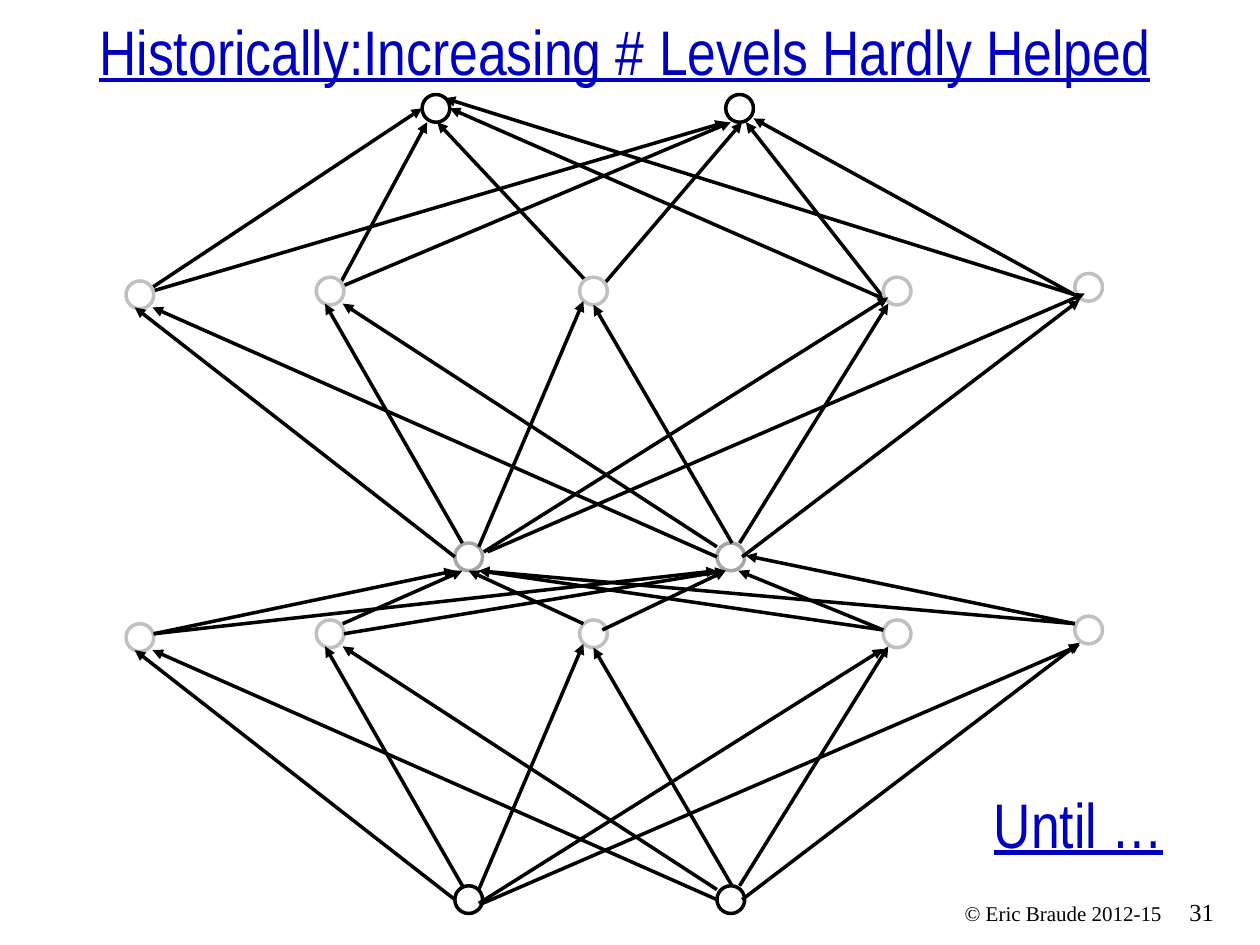
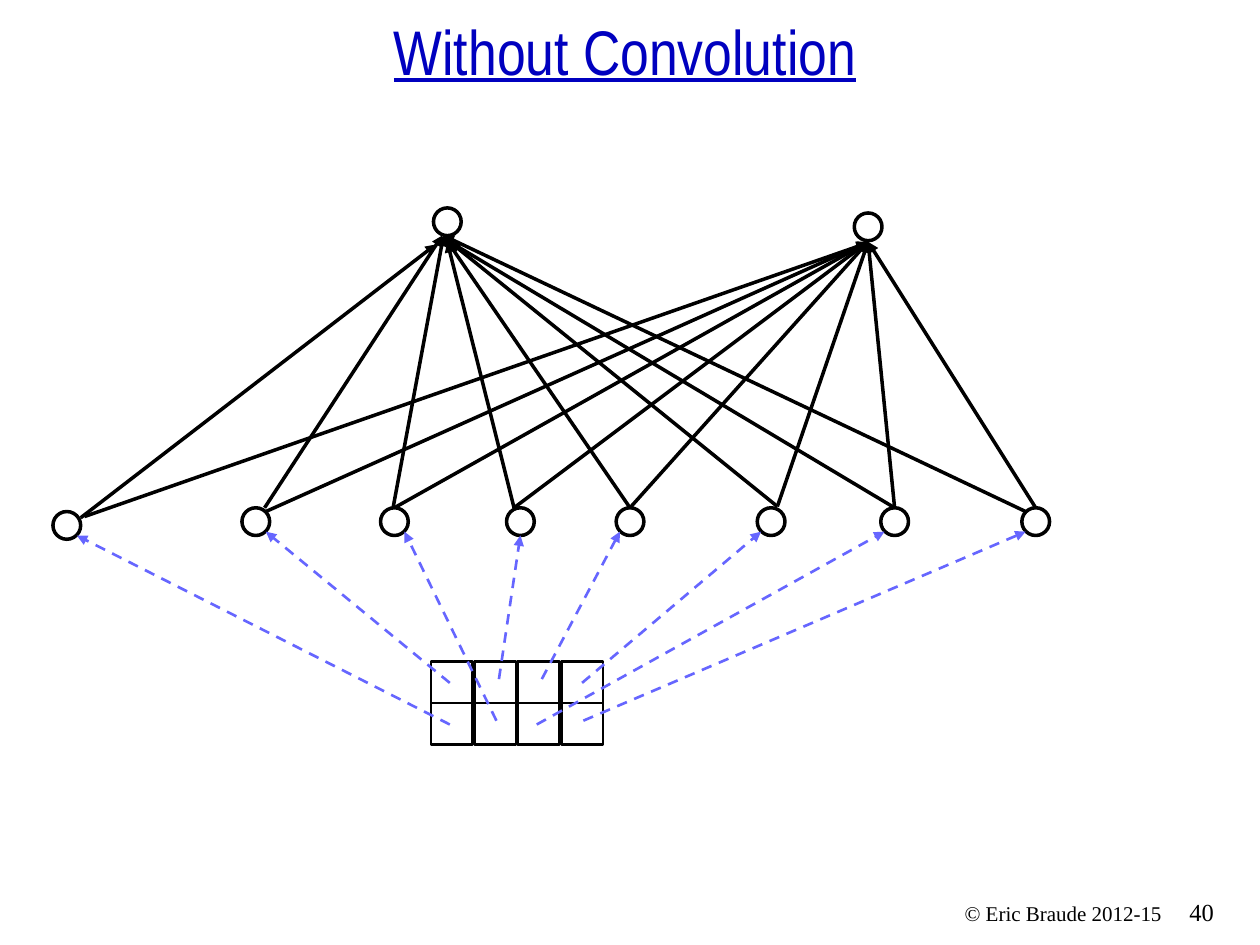
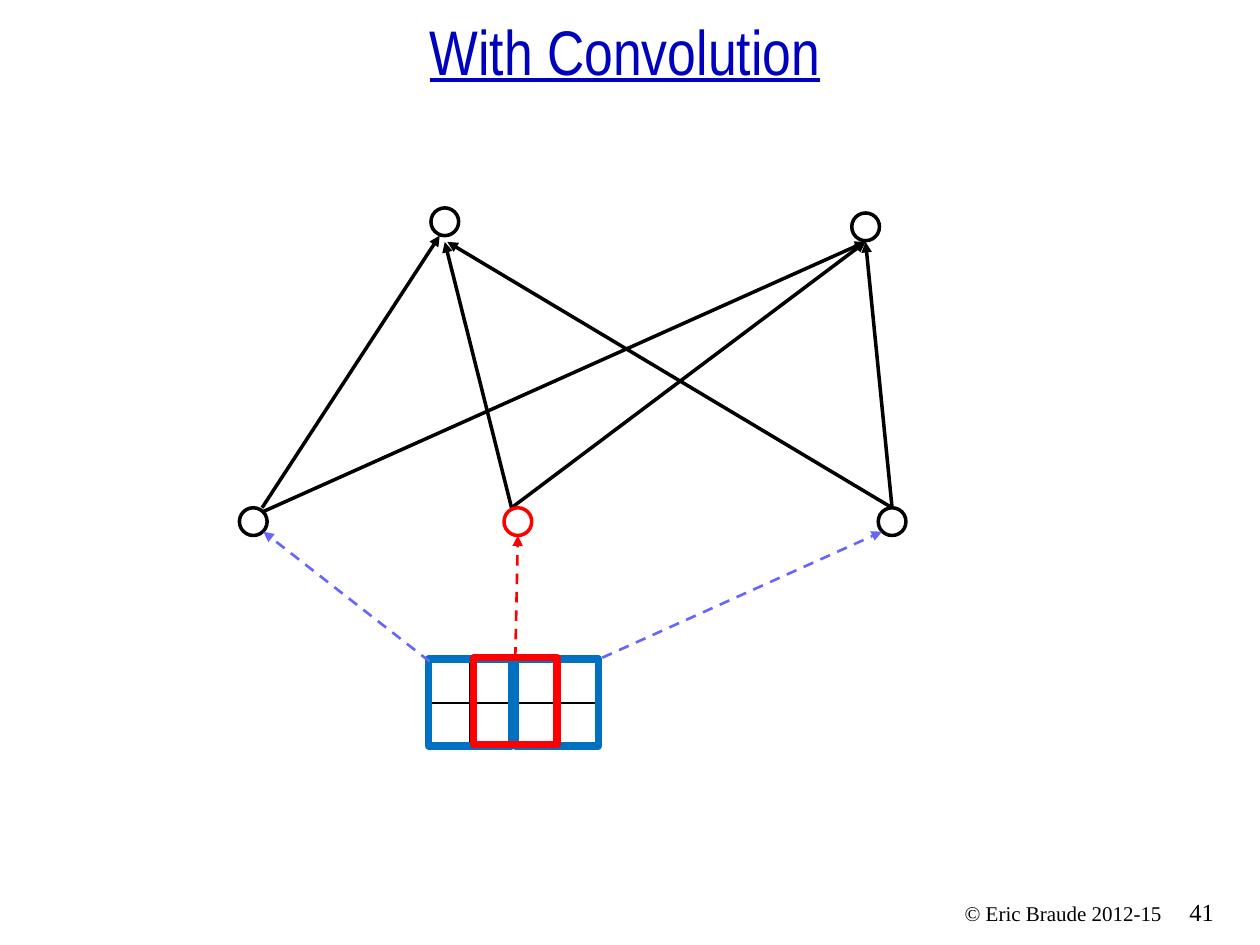
from dataclasses import dataclass
from itertools import product
from typing import NamedTuple

from lxml.etree import SubElement
from pptx import Presentation
from pptx.dml.color import RGBColor
from pptx.enum.dml import MSO_LINE
from pptx.enum.shapes import MSO_CONNECTOR, MSO_SHAPE
from pptx.enum.text import MSO_ANCHOR as Anchor, MSO_AUTO_SIZE as AutoSize, PP_ALIGN as Align
from pptx.oxml.ns import qn
from pptx.util import Inches, Pt


@dataclass(frozen=True)
class Theme:
    black: str = "000000"
    white: str = "FFFFFF"
    title: str = "0000BF"
    light_gray: str = "C0C0C0"
    gray: str = "A6A6A6"
    violet: str = "6666FF"
    blue: str = "0070C0"
    red: str = "FF0000"
    title_font: str = "Arial Narrow"
    footer_font: str = "Times New Roman"
    title_size: float = 36
    number_size: float = 14
    footer_size: float = 12
    link_width: float = 2
    thin_width: float = 1.5
    window_width: float = 4.25


THEME = Theme()
WIDTH, HEIGHT = Inches(10), Inches(7.5)
COLUMNS = 100
CELL = WIDTH / COLUMNS  # side of one square grid cell; all lengths below count cells
NODE = 2.2
TITLE_ONLY = 5

TITLE_STYLE = {"name": THEME.title_font, "size": Pt(THEME.title_size), "underline": True}


class Box(NamedTuple):
    left: float
    top: float
    width: float = 0
    height: float = 0

    def point(self, x, y):
        return self.left + x, self.top + y

    def inner(self, x, y, width, height):
        return Box(*self.point(x, y), width, height)


class Feature(NamedTuple):
    node: tuple
    input_tip: tuple
    left_start: tuple
    left_tip: tuple
    right_start: tuple
    right_tip: tuple = (64.7, 2.7)


HIDDEN_NODES = [(0, 0.6), (15.1, 0.3), (36, 0.3), (60.1, 0.3), (75.3, 0)]
SOURCE_NODES = [(26.1, 21.4), (46.9, 21.4)]
FAN_LINKS = [
    ((26.7, 21.4), (15.8, 2.4)), ((28, 21.7), (36.3, 2.2)), ((26.1, 22.5), (0.7, 2.7)),
    ((46.9, 21.7), (17.2, 2.4)), ((48.7, 21.4), (60.5, 2.4)), ((48.1, 21.4), (37.1, 2.5)),
    ((46.9, 22.5), (2.1, 2.7)), ((48.9, 22.5), (75.7, 2.1)),
]
WIDE_LINKS = [((28, 22.8), (60.1, 2.6)), ((28.3, 22.8), (75.7, 2.3))]
OUTPUT_NODES = [(23.5, 0), (47.6, 0)]
OUTPUT_LINKS = [
    ((1.8, 15.5), (23.5, 1.1)), ((16.9, 15.2), (23.9, 2.2)), ((36.9, 15.2), (24.7, 2.2)),
    ((60.1, 16.2), (25.7, 1.1)), ((75.3, 15.9), (25.3, 0.3)),
    ((1.1, 15.9), (47.6, 2.2)), ((17.2, 15.2), (48, 2.2)), ((37.8, 15.2), (48.9, 2.2)),
    ((60.1, 16.1), (49.2, 2.2)), ((75.3, 15.9), (49.8, 1.9)),
]
MIDDLE_LINKS = [
    ((2.2, 7.3), (26.1, 2.3)), ((17.2, 6.5), (26.7, 2.3)), ((36.3, 6.5), (27.2, 2.3)),
    ((60.1, 7), (28, 2.3)), ((75.3, 6.5), (28, 2.3)),
    ((2.2, 7.3), (46.9, 2.3)), ((17.3, 7.3), (47.6, 2.3)), ((37.8, 7), (47.6, 2.3)),
    ((60.1, 7), (48.6, 2.3)), ((75.3, 6.5), (49.2, 1.1)),
]

CLASS_NODES = [(30.2, 0), (63.6, 0.4)]
FEATURES = [
    Feature((0, 24.1), (1.9, 26), (2.2, 24.6), (30.4, 2.9), (2.5, 24.5), (64.6, 2.8)),
    Feature((15, 23.8), (16.9, 25.7), (16.8, 23.8), (30.9, 2.2), (16.9, 24.1)),
    Feature((26, 23.8), (27.9, 25.7), (27, 23.8), (31, 2.2), (27.1, 23.8)),
    Feature((36, 23.8), (37.1, 26), (36.6, 23.8), (31.3, 2.7), (36.6, 23.8)),
    Feature((44.7, 23.8), (45, 25.7), (45.8, 23.8), (31, 2.2), (45.8, 23.8)),
    Feature((55.9, 23.8), (56.2, 25.7), (57.5, 23.7), (31.5, 2.7), (57.5, 23.7)),
    Feature((65.7, 23.8), (66, 25.7), (66.8, 23.8), (31.5, 2.7), (66.8, 23.8)),
    Feature((76.9, 23.8), (77.2, 25.7), (77.2, 24.1), (31, 2.2), (78, 23.8)),
]
PIXEL_STARTS = [(31.5, 41), (31.5, 37.7), (35.2, 40.7), (35.4, 37.4),
                (38.8, 37.4), (42, 37.7), (38.4, 41), (42.1, 40.7)]
PIXEL, PIXEL_PITCH, PIXEL_COLUMNS, PIXEL_ROWS = 3.3, 3.45, 4, 2


def cells(*lengths):
    return [round(length * CELL) for length in lengths]


def set_all(target, values):
    for name, value in values.items():
        setattr(target, name, value)


def style_line(line, color, width):
    line.color.rgb = RGBColor.from_string(color)
    line.width = Pt(width)


def write(shape, text, color, font, frame, align):
    set_all(shape.text_frame, {"word_wrap": True, **frame})
    paragraph = shape.text_frame.paragraphs[0]
    paragraph.alignment = align
    run = paragraph.add_run()
    run.text = text
    set_all(run.font, font)
    run.font.color.rgb = RGBColor.from_string(color)


def add_text(slide, box, *content):
    write(slide.shapes.add_textbox(*cells(*box)), *content)


def add_outline(slide, preset, box, color, width, fill=None):
    shape = slide.shapes.add_shape(preset, *cells(*box))
    shape.shadow.inherit = False
    if fill:
        shape.fill.solid()
        shape.fill.fore_color.rgb = RGBColor.from_string(fill)
    else:
        shape.fill.background()
    style_line(shape.line, color, width)
    return shape


def add_nodes(slide, box, corners, color=THEME.black):
    for corner in corners:
        add_outline(slide, MSO_SHAPE.OVAL, box.inner(*corner, NODE, NODE),
                    color, THEME.link_width, THEME.white)


def add_arrow(slide, box, start, tip, color=THEME.black, dashed=False):
    arrow = slide.shapes.add_connector(
        MSO_CONNECTOR.STRAIGHT, *cells(*box.point(*start), *box.point(*tip)))
    style_line(arrow.line, color, THEME.thin_width if dashed else THEME.link_width)
    if dashed:
        arrow.line.dash_style = MSO_LINE.DASH
    SubElement(arrow.line._get_or_add_ln(), qn("a:tailEnd"), type="triangle")
    SubElement(arrow._element.spPr, qn("a:effectLst"))
    return arrow


def add_arrows(slide, box, links):
    for start, tip in links:
        add_arrow(slide, box, start, tip)


def add_titled_slide(presentation, title, number):
    slide = presentation.slides.add_slide(presentation.slide_layouts[TITLE_ONLY])
    placeholder = slide.shapes.title
    set_all(placeholder, dict(zip(("left", "top", "width", "height"), cells(0, 2.1, 99.2, 5.4))))
    write(placeholder, title, THEME.title, TITLE_STYLE,
          {"vertical_anchor": Anchor.BOTTOM, "auto_size": AutoSize.NONE}, Align.CENTER)
    footer_parts = [
        (Box(93.4, 70.7, 5.8, 3.3), str(number), THEME.number_size, Align.LEFT),
        (Box(66.5, 71, 26.7, 3), "© Eric Braude 2012-15", THEME.footer_size, Align.RIGHT),
    ]
    for box, text, size, align in footer_parts:
        add_text(slide, box, text, THEME.black, {"name": THEME.footer_font, "size": Pt(size)},
                 {"auto_size": AutoSize.SHAPE_TO_FIT_TEXT}, align)
    return slide


def add_fan(slide, box, source_color, wide_shift=(0, 0)):
    """Two source nodes below, each linked to all five hidden nodes above."""
    add_nodes(slide, box, HIDDEN_NODES, THEME.light_gray)
    add_nodes(slide, box, SOURCE_NODES, source_color)
    add_arrows(slide, box, FAN_LINKS)
    shifted = Box(*box.point(*wide_shift))
    add_arrows(slide, shifted, WIDE_LINKS)


def add_outputs(slide, box):
    add_nodes(slide, box, OUTPUT_NODES)
    add_arrows(slide, box, OUTPUT_LINKS)


def add_classifier(slide, box, features, highlighted=None):
    """Feature nodes, each linked to both class nodes above."""
    for feature in features:
        add_arrow(slide, box, feature.left_start, feature.left_tip)
        add_arrow(slide, box, feature.right_start, feature.right_tip)
    add_nodes(slide, box, CLASS_NODES)
    for feature in features:
        add_nodes(slide, box, [feature.node],
                  THEME.red if feature is highlighted else THEME.black)


def add_pixels(slide, box):
    for row, column in product(range(PIXEL_ROWS), range(PIXEL_COLUMNS)):
        pixel = box.inner(30 + column * PIXEL_PITCH, 36 + row * PIXEL, PIXEL, PIXEL)
        add_outline(slide, MSO_SHAPE.RECTANGLE, pixel, THEME.black, THEME.thin_width)


def add_window(slide, box, x, y, color):
    return add_outline(slide, MSO_SHAPE.RECTANGLE, box.inner(x, y, 6.6, 6.9),
                       color, THEME.window_width)


def build_levels(presentation):
    slide = add_titled_slide(presentation, "Historically:Increasing # Levels Hardly Helped", 31)
    add_fan(slide, Box(10, 48.9), THEME.black)
    add_outputs(slide, Box(10, 7.5))
    add_fan(slide, Box(10, 21.7), THEME.gray, wide_shift=(0.4, -0.7))
    add_arrows(slide, Box(10, 43), MIDDLE_LINKS)
    add_text(slide, Box(75.7, 63.4, 17.6, 5.4), "Until …", THEME.title, TITLE_STYLE,
             {"vertical_anchor": Anchor.BOTTOM}, Align.RIGHT)


def build_without_convolution(presentation):
    slide = add_titled_slide(presentation, "Without Convolution", 40)
    box = Box(4.2, 16.5)
    add_classifier(slide, box, FEATURES)
    add_pixels(slide, box)
    for start, feature in zip(PIXEL_STARTS, FEATURES):
        add_arrow(slide, box, start, feature.input_tip, THEME.violet, dashed=True)


def build_with_convolution(presentation):
    slide = add_titled_slide(presentation, "With Convolution", 41)
    box = Box(4, 16.5)
    left, center, right = FEATURES[1], FEATURES[3], FEATURES[6]
    add_classifier(slide, box, [left, center, right], highlighted=center)
    add_pixels(slide, box)
    for x in (30, 36.9):
        add_window(slide, box, x, 35.8, THEME.blue)
    center_window = add_window(slide, box, 33.6, 35.7, THEME.red)
    add_arrow(slide, box, (30.1, 36), left.input_tip, THEME.violet, dashed=True)
    add_arrow(slide, box, (43.8, 35.7), right.input_tip, THEME.violet, dashed=True)
    center_arrow = add_arrow(slide, box, (36.9, 35.7), center.input_tip, THEME.red, dashed=True)
    center_arrow.begin_connect(center_window, 0)


def main():
    presentation = Presentation()
    set_all(presentation, {"slide_width": WIDTH, "slide_height": HEIGHT})
    build_levels(presentation)
    build_without_convolution(presentation)
    build_with_convolution(presentation)
    presentation.save("out.pptx")


if __name__ == "__main__":
    main()
